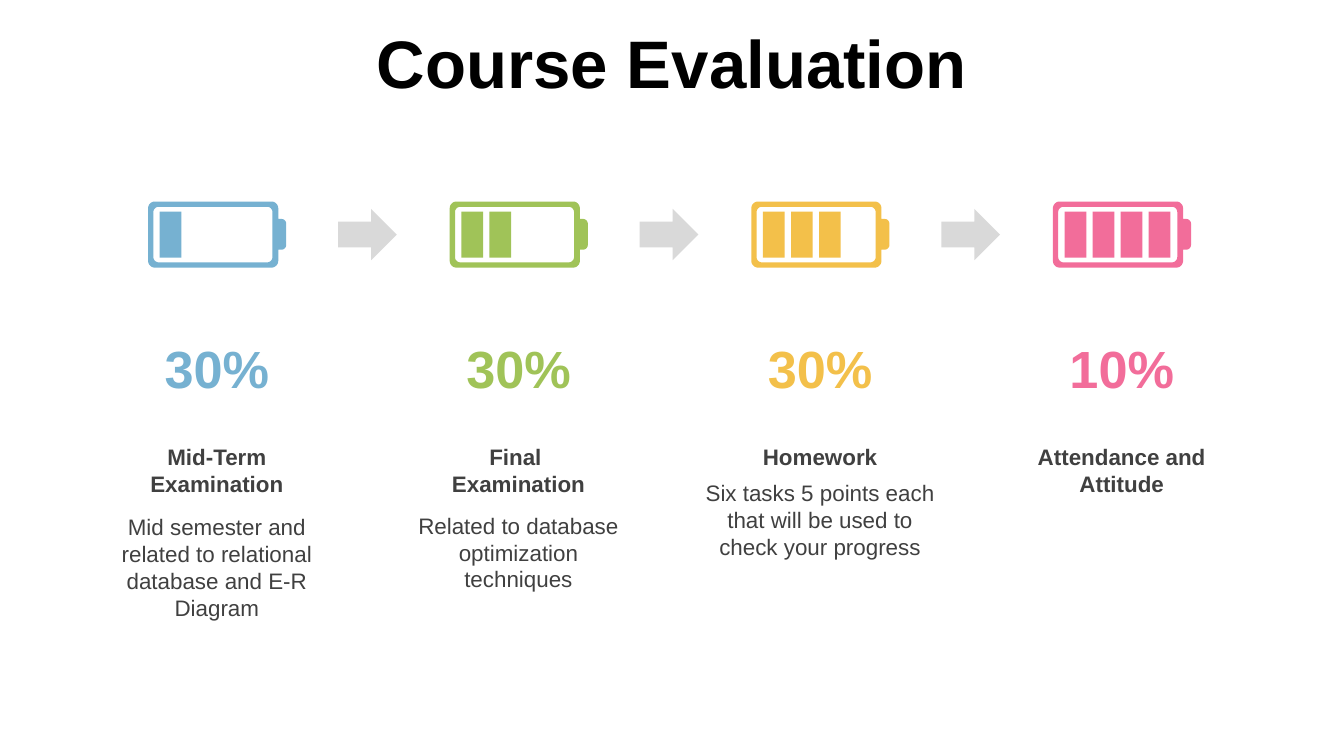
from math import cos, pi, sin

from pptx import Presentation
from pptx.dml.color import RGBColor
from pptx.enum.shapes import MSO_SHAPE
from pptx.enum.text import MSO_ANCHOR, MSO_AUTO_SIZE, PP_ALIGN
from pptx.util import Cm, Pt

RIGHT_ARROW = MSO_SHAPE.RIGHT_ARROW
TOP, MIDDLE = MSO_ANCHOR.TOP, MSO_ANCHOR.MIDDLE
CENTER = PP_ALIGN.CENTER
FIT_SHAPE = MSO_AUTO_SIZE.SHAPE_TO_FIT_TEXT

COLORS = {
    "title": "000000",
    "text": "404040",
    "arrow": "D9D9D9",
    "blue": "76B1D1",
    "green": "A0C358",
    "yellow": "F3C04A",
    "pink": "F26D9A",
}

COLUMN_PITCH = 5.7
BATTERY_LEFT, BATTERY_TOP = 2.8, 3.81
ARROW_LEFT = 6.39
CAPTION_LEFT, CAPTION_WIDTH = 1.65, 4.9

# Colour, share, heading lines, description, its top and height
CRITERIA = [
    ("blue", "30%", ["Mid-Term Examination"],
     "Mid semester and related to relational database and E-R Diagram", 9.58, 2.31),
    ("green", "30%", ["Final ", "Examination"],
     "Related to database optimization techniques", 9.55, 1.8),
    ("yellow", "30%", ["Homework"],
     "Six tasks 5 points each that will be used to check your progress", 8.94, 1.8),
    ("pink", "10%", ["Attendance and Attitude"], None, None, None),
]


def rounded_outline(left, top, width, height, left_radius=0, right_radius=0):
    """Points in cm around a box, clockwise from its top right corner."""
    right, bottom = left + width, top + height
    corners = [
        (right - right_radius, top + right_radius, right_radius, -pi / 2),
        (right - right_radius, bottom - right_radius, right_radius, 0),
        (left + left_radius, bottom - left_radius, left_radius, pi / 2),
        (left + left_radius, top + left_radius, left_radius, pi),
    ]
    points = []
    for x, y, radius, start in corners:
        steps = 8 if radius else 0
        for step in range(steps + 1):
            angle = start + step * pi / 16
            points.append((x + radius * cos(angle), y + radius * sin(angle)))
    return points


class SlideBuilder:
    font = "Arial"

    def __init__(self, slide):
        self.slide = slide

    def paint(self, shape, color):
        shape.shadow.inherit = False
        shape.fill.solid()
        shape.fill.fore_color.rgb = RGBColor.from_string(COLORS[color])
        shape.line.fill.background()

    def text(self, left, top, width, height, lines, size, color,
             bold=False, anchor=TOP):
        box = self.slide.shapes.add_textbox(Cm(left), Cm(top), Cm(width), Cm(height))
        frame = box.text_frame
        frame.word_wrap = True
        frame.auto_size = FIT_SHAPE
        frame.vertical_anchor = anchor
        for index, line in enumerate(lines):
            paragraph = frame.add_paragraph() if index else frame.paragraphs[0]
            paragraph.alignment = CENTER
            run = paragraph.add_run()
            run.text = line
            run.font.name = self.font
            run.font.size = Pt(size)
            run.font.bold = bold
            run.font.color.rgb = RGBColor.from_string(COLORS[color])

    def arrow(self, left, top, width, height):
        arrow = self.slide.shapes.add_shape(
            RIGHT_ARROW, Cm(left), Cm(top), Cm(width), Cm(height))
        self.paint(arrow, "arrow")

    def battery(self, left, top, bars, color):
        casing = rounded_outline(left, top, 2.46, 1.25, 0.13, 0.13)
        cavity = rounded_outline(left + 0.1, top + 0.1, 2.25, 1.05, 0.1, 0.1)
        cap = rounded_outline(left + 2.46, top + 0.33, 0.15, 0.58, 0, 0.09)
        charge = [rounded_outline(left + 0.22 + 0.53 * bar, top + 0.19, 0.41, 0.87)
                  for bar in range(bars)]
        # The cavity runs the other way round so that it stays open
        outlines = [casing, cavity[::-1], cap, *charge]
        builder = None
        for outline in outlines:
            points = [(Cm(x), Cm(y)) for x, y in outline]
            if builder is None:
                builder = self.slide.shapes.build_freeform(*points[0])
            else:
                builder.move_to(*points[0])
            builder.add_line_segments(points[1:], close=True)
        self.paint(builder.convert_to_shape(), color)


def main():
    presentation = Presentation()
    presentation.slide_width = Cm(25.4)
    presentation.slide_height = Cm(14.29)
    blank_layout = presentation.slide_layouts[6]
    page = SlideBuilder(presentation.slides.add_slide(blank_layout))

    # Title
    page.text(0, 0.08, 25.4, 2.16, ["Course Evaluation"], 36, "title", True, MIDDLE)

    # One column per criterion, each battery one bar fuller
    for index, criterion in enumerate(CRITERIA):
        color, share, heading, description, top, height = criterion
        shift = index * COLUMN_PITCH
        page.battery(BATTERY_LEFT + shift, BATTERY_TOP, index + 1, color)
        page.text(BATTERY_LEFT + shift, 6.22, 2.6, 1.45, [share], 28, color,
                  True, MIDDLE)
        caption_left = CAPTION_LEFT + shift
        heading_height = 0.76 if heading == ["Homework"] else 1.27
        page.text(caption_left, 8.25, CAPTION_WIDTH, heading_height, heading,
                  12, "text", True)
        if description:
            page.text(caption_left, top, CAPTION_WIDTH, height, [description],
                      12, "text")

    # Arrows between the batteries
    for gap in range(len(CRITERIA) - 1):
        page.arrow(ARROW_LEFT + gap * COLUMN_PITCH, 3.95, 1.11, 0.97)

    presentation.save("out.pptx")


if __name__ == "__main__":
    main()
